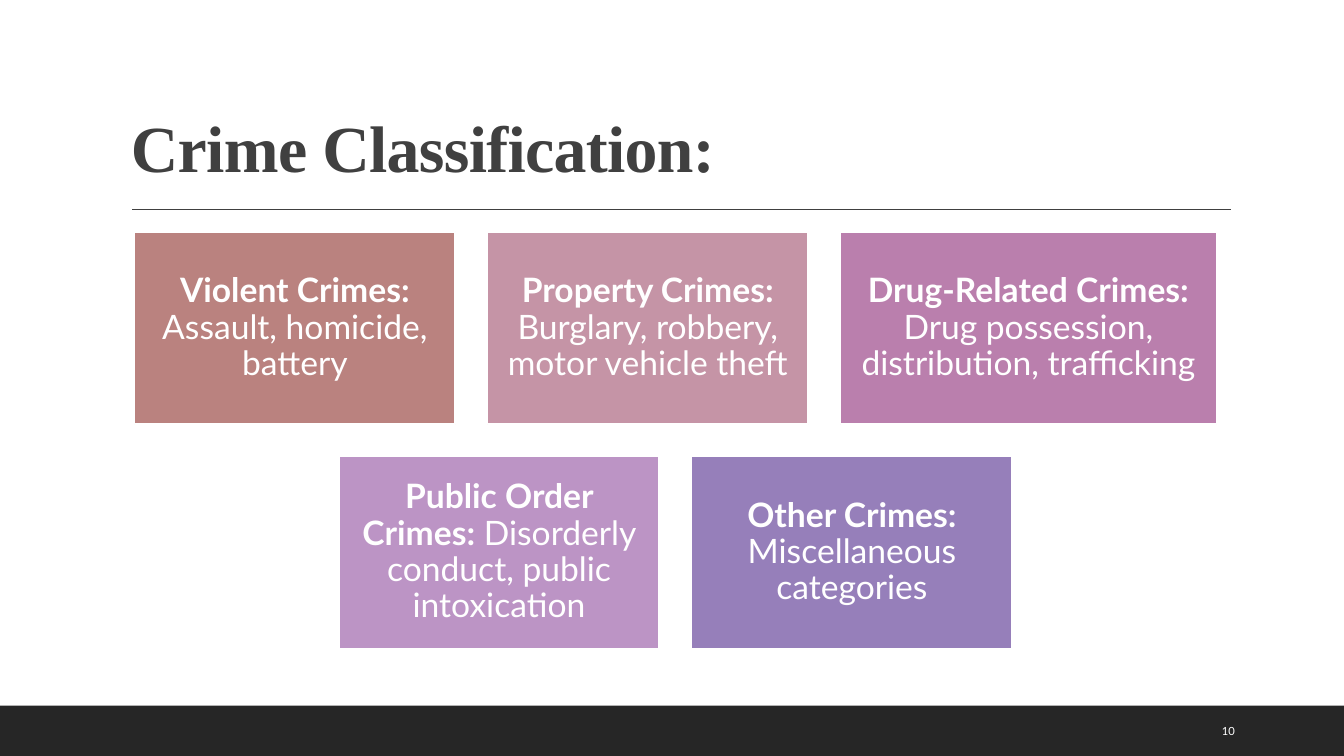
from pptx import Presentation
from pptx.dml.color import RGBColor
from pptx.enum.shapes import MSO_CONNECTOR, MSO_SHAPE
from pptx.enum.text import MSO_ANCHOR, PP_ALIGN
from pptx.oxml.ns import qn
from pptx.util import Inches, Pt
from lxml import etree

RECT = MSO_SHAPE.RECTANGLE
LINE = MSO_CONNECTOR.STRAIGHT
LEFT, MID = PP_ALIGN.LEFT, PP_ALIGN.CENTER
LOW, HALF = MSO_ANCHOR.BOTTOM, MSO_ANCHOR.MIDDLE

WHITE = RGBColor(0xFF, 0xFF, 0xFF)
GREY = RGBColor(0x40, 0x40, 0x40)
BLACK = RGBColor(0x26, 0x26, 0x26)
CLAY = RGBColor(0xBA, 0x82, 0x7F)
ROSE = RGBColor(0xC5, 0x94, 0xA6)
PLUM = RGBColor(0xBA, 0x7F, 0xAD)
LILAC = RGBColor(0xBC, 0x94, 0xC5)
VIOLET = RGBColor(0x96, 0x7F, 0xBA)

# Shares of the slide's size, in percent
TILE, WIDE, TALL = 23.86, 27.98, 25.47
GAP_X, GAP_Y = 2.4, 4.2
CENTRE, TOP = 50.26, 30.67

ROWS = [
    [("Violent Crimes:", " Assault, homicide, battery", CLAY, TILE),
     ("Property Crimes:", " Burglary, robbery, motor vehicle theft", ROSE, TILE),
     ("Drug-Related Crimes:", " Drug possession, distribution, trafficking", PLUM, WIDE)],
    [("Public Order Crimes:", " Disorderly conduct, public intoxication", LILAC, TILE),
     ("Other Crimes:", " Miscellaneous categories", VIOLET, TILE)],
]


class Deck:
    head = "Times New Roman"
    body = "Lato"

    def __init__(self):
        self.prs = Presentation()
        self.prs.slide_width = Inches(13.33)
        self.prs.slide_height = Inches(7.5)
        self.slide = self.prs.slides.add_slide(self.prs.slide_layouts[6])

    def place(self, x, y, w, h):
        """Turn percent shares into slide lengths."""
        wide, high = self.prs.slide_width, self.prs.slide_height
        return [round(part * side / 100)
                for part, side in zip((x, y, w, h), (wide, high, wide, high))]

    def style(self, run, size, color, font, bold=False):
        run.font.size = Pt(size)
        run.font.color.rgb = color
        run.font.name = font
        run.font.bold = bold

    def block(self, box, fill, edge=None):
        shape = self.slide.shapes.add_shape(RECT, *self.place(*box))
        shape.shadow.inherit = False
        shape.fill.solid()
        shape.fill.fore_color.rgb = fill
        if edge is None:
            shape.line.fill.background()
        else:
            shape.line.color.rgb = edge
            shape.line.width = Pt(1.25)
        return shape

    def tile(self, box, name, kinds, fill):
        frame = self.block(box, fill, WHITE).text_frame
        frame.word_wrap = True
        frame.vertical_anchor = HALF
        frame.margin_left = frame.margin_right = Inches(0.1)
        frame.margin_top = frame.margin_bottom = Inches(0.1)
        para = frame.paragraphs[0]
        para.text = name
        para.add_run().text = kinds
        para.alignment = MID
        para.line_spacing = 0.9
        for run, bold in zip(para.runs, (True, False)):
            self.style(run, 24, WHITE, self.body, bold)

    def label(self, box, text, size, color, font, anchor, bold=False):
        frame = self.slide.shapes.add_textbox(*self.place(*box)).text_frame
        frame.word_wrap = True
        frame.vertical_anchor = anchor
        frame.text = text
        para = frame.paragraphs[0]
        para.alignment = LEFT
        self.style(para.runs[0], size, color, font, bold)
        return para

    def title(self, box, text):
        para = self.label(box, text, 47, GREY, self.head, LOW, True)
        para.line_spacing = 0.9
        para.runs[0].font._element.set("spc", "-50")

    def rule(self, x, y, w):
        left, top, wide, _ = self.place(x, y, w, 0)
        line = self.slide.shapes.add_connector(LINE, left, top, left + wide, top)
        line.line.color.rgb = GREY
        line.line.width = Pt(1)
        etree.SubElement(line._element.spPr, qn("a:effectLst"))

    def row(self, y, tiles):
        """Lay tiles side by side, centred on the common axis."""
        total = sum(tile[3] for tile in tiles) + GAP_X * (len(tiles) - 1)
        x = CENTRE - total / 2
        for name, kinds, fill, wide in tiles:
            self.tile((x, y, wide, TALL), name, kinds, fill)
            x += wide + GAP_X


def main():
    deck = Deck()
    deck.title((9, 4.13, 82.5, 21.2), "Crime Classification:")
    deck.rule(9.83, 27.7, 81.77)
    deck.block((0, 93.33, 100, 6.67), BLACK)
    for index, tiles in enumerate(ROWS):
        deck.row(TOP + index * (TALL + GAP_Y), tiles)
    deck.label((90.17, 94, 6.38, 5.33), "10", 8, WHITE, deck.body, HALF)
    deck.prs.save("out.pptx")


if __name__ == "__main__":
    main()
